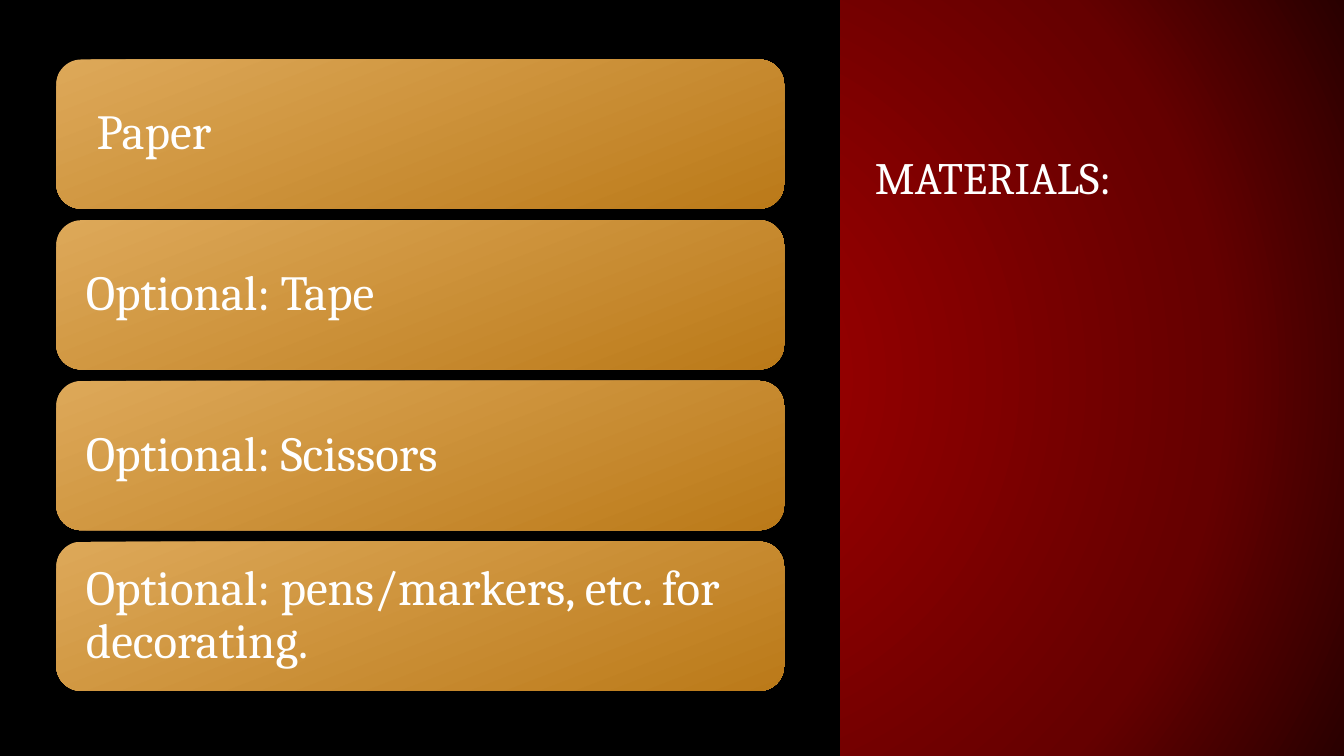
from dataclasses import dataclass

from lxml import etree
from pptx import Presentation
from pptx.dml.color import RGBColor
from pptx.enum import shapes, text
from pptx.oxml.ns import qn
from pptx.util import Cm, Pt

COLORS = {
    "panel": "000000",
    "text": "FFFFFF",
    "red": "960000",
    "deep_red": "650000",
    "dark_red": "290000",
    "gold": "DDA859",
    "dark_gold": "BB7A19",
}
FONT = "Cambria"
CARD_LEFT, CARD_TOP = 1.42, 1.5
CARD_WIDTH, CARD_HEIGHT = 18.34, 3.76
CARD_PITCH = 4.05


@dataclass
class Material:
    label: str


MATERIALS = [
    Material(" Paper"),
    Material("Optional: Tape"),
    Material("Optional: Scissors"),
    Material("Optional: pens/markers, etc. for decorating."),
]


def color(name: str) -> RGBColor:
    return RGBColor.from_string(COLORS[name])


def set_background(slide) -> None:
    slide.background.fill.solid()
    solid = slide.element.find(f".//{qn('p:bgPr')}/{qn('a:solidFill')}")
    grad = etree.Element(qn("a:gradFill"), rotWithShape="1")
    stops = etree.SubElement(grad, qn("a:gsLst"))
    for pos, name in ((17, "red"), (71, "deep_red"), (100, "dark_red")):
        gs = etree.SubElement(stops, qn("a:gs"), pos=str(pos * 1000))
        etree.SubElement(gs, qn("a:srgbClr"), val=COLORS[name])
    circle = etree.SubElement(grad, qn("a:path"), {"path": "circle"})
    etree.SubElement(circle, qn("a:fillToRect"), dict.fromkeys("ltrb", "50000"))
    solid.getparent().replace(solid, grad)


def write_text(sp, content: str, size: int, spacing: float, anchor) -> None:
    tf = sp.text_frame
    tf.text = content
    tf.word_wrap = True
    tf.auto_size = text.MSO_AUTO_SIZE.NONE
    tf.vertical_anchor = anchor
    p = tf.paragraphs[0]
    p.alignment = text.PP_ALIGN.LEFT
    p.line_spacing = spacing
    r = p.runs[0]
    r.font.name = FONT
    r.font.size = Pt(size)
    r.font.color.rgb = color("text")


def add_panel(slide) -> None:
    sp = slide.shapes.add_shape(
        shapes.MSO_SHAPE.RECTANGLE, 0, 0, Cm(21.17), Cm(19.05)
    )
    sp.shadow.inherit = False
    sp.fill.solid()
    sp.fill.fore_color.rgb = color("panel")
    sp.line.fill.background()


def add_title(slide) -> None:
    sp = slide.shapes.title
    sp.left, sp.top, sp.width, sp.height = Cm(21.72), Cm(1.35), Cm(11), Cm(3.96)
    write_text(sp, "MATERIALS:", 32, 0.8, text.MSO_ANCHOR.BOTTOM)
    tf = sp.text_frame
    tf.margin_left = tf.margin_right = Cm(0.33)
    tf.margin_top = tf.margin_bottom = Cm(0.18)


def add_card(slide, index: int, material: Material) -> None:
    sp = slide.shapes.add_shape(
        shapes.MSO_SHAPE.ROUNDED_RECTANGLE,
        Cm(CARD_LEFT),
        Cm(CARD_TOP + index * CARD_PITCH),
        Cm(CARD_WIDTH),
        Cm(CARD_HEIGHT),
    )
    sp.shadow.inherit = False
    sp.fill.gradient()
    sp.fill.gradient_angle = 291
    for stop, name, position in zip(
        sp.fill.gradient_stops, ("gold", "dark_gold"), (0, 1)
    ):
        stop.color.rgb = color(name)
        stop.position = position
    sp.line.fill.background()
    write_text(sp, material.label, 35, 0.9, text.MSO_ANCHOR.MIDDLE)
    tf = sp.text_frame
    tf.margin_left = tf.margin_right = Cm(0.56)
    tf.margin_top = tf.margin_bottom = Cm(0.56)


def main() -> None:
    prs = Presentation()
    prs.slide_width, prs.slide_height = Cm(33.87), Cm(19.05)
    slide = prs.slides.add_slide(prs.slide_layouts[5])
    set_background(slide)
    add_panel(slide)
    add_title(slide)
    for index, material in enumerate(MATERIALS):
        add_card(slide, index, material)
    prs.save("out.pptx")


if __name__ == "__main__":
    main()
